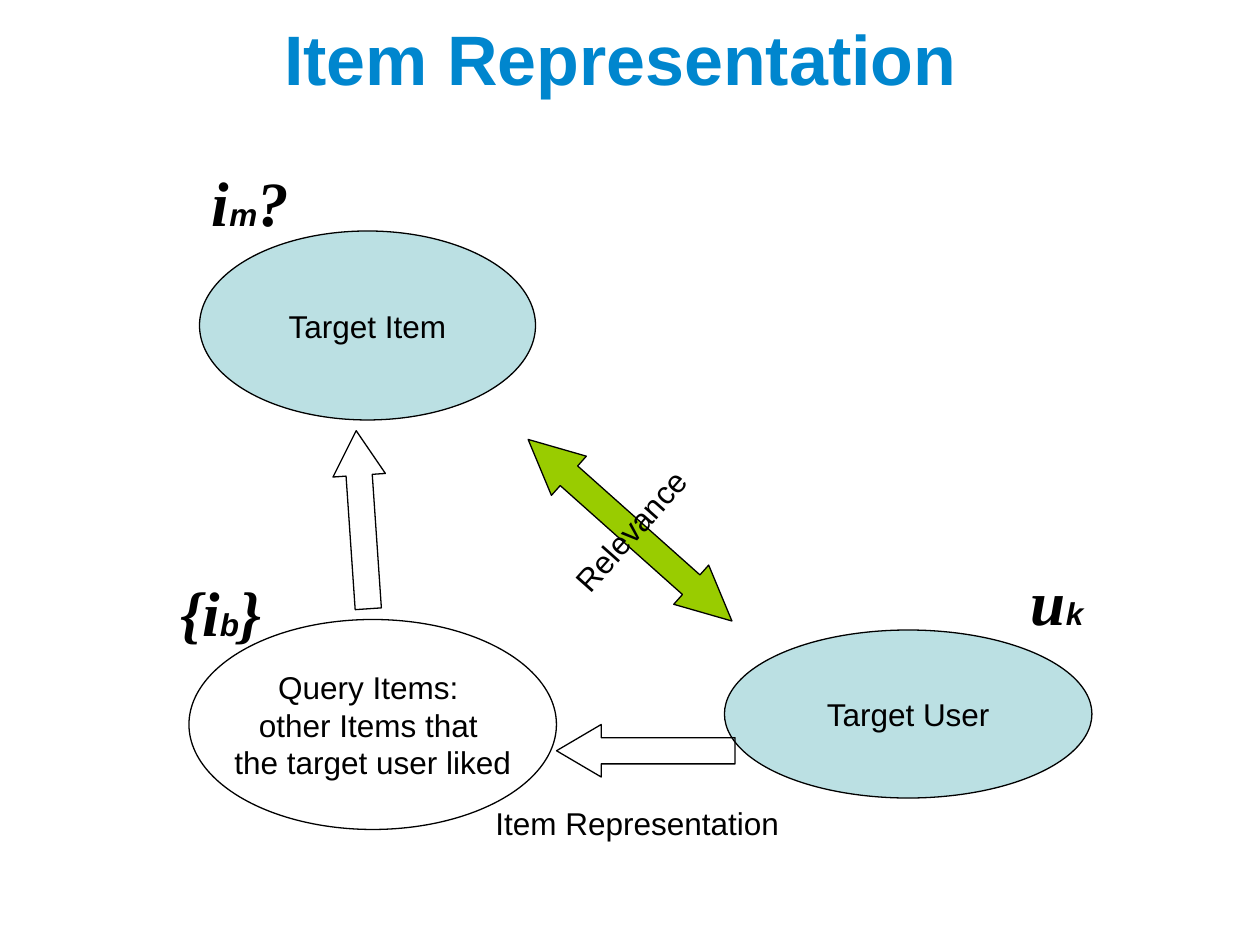
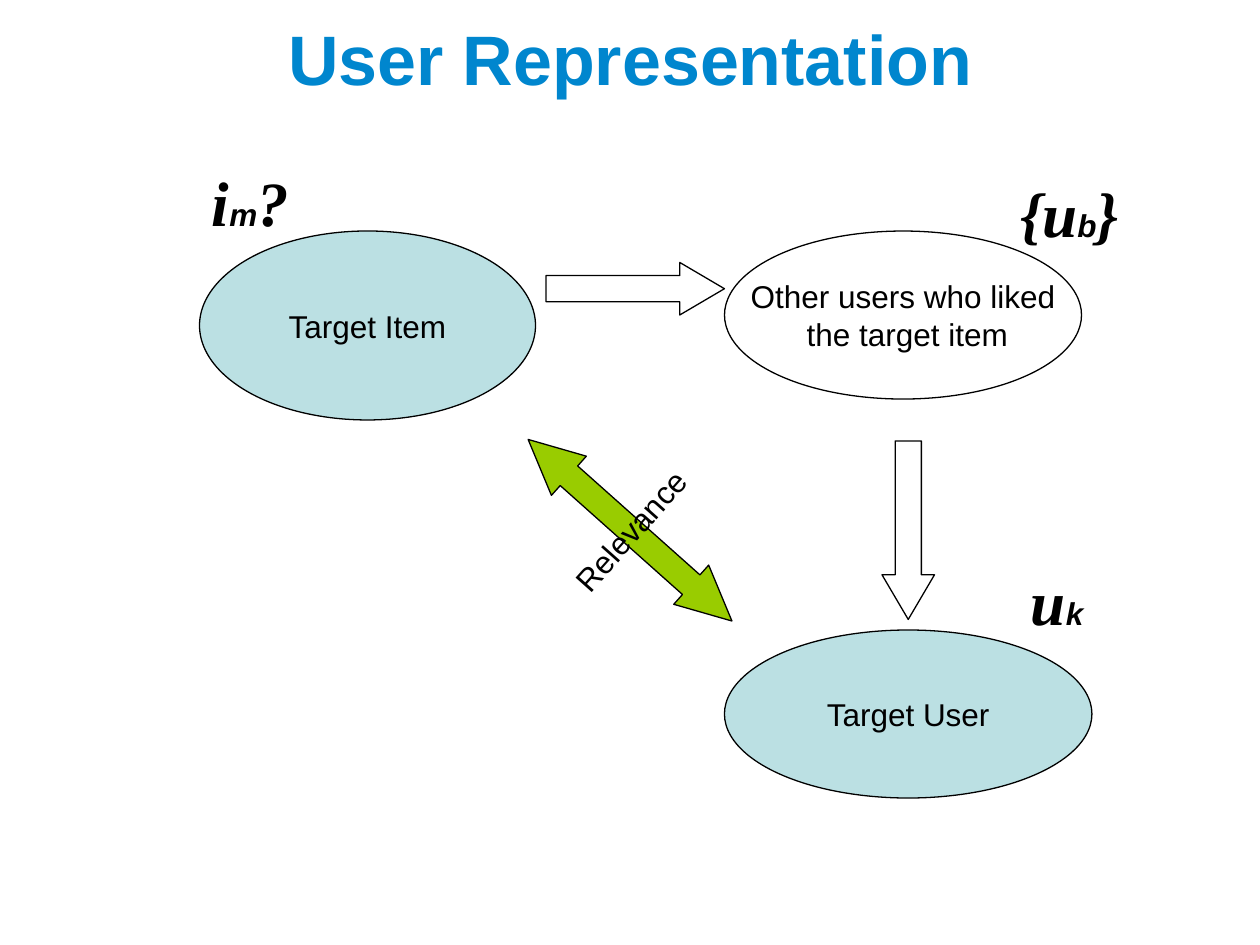
from dataclasses import dataclass

from pptx import Presentation
from pptx.dml.color import RGBColor
from pptx.enum.shapes import MSO_SHAPE
from pptx.enum.text import MSO_ANCHOR, MSO_AUTO_SIZE, PP_ALIGN
from pptx.oxml.ns import qn
from pptx.shapes.autoshape import Shape
from pptx.slide import Slide
from pptx.util import Emu, Pt

EMU_PER_PX = 9525  # 96 px to the inch
TITLE_ONLY_LAYOUT = 5


@dataclass(frozen=True)
class Theme:
    title_color: RGBColor = RGBColor(0x00, 0x86, 0xCE)
    ink: RGBColor = RGBColor(0x00, 0x00, 0x00)
    target_fill: RGBColor = RGBColor(0xBB, 0xE0, 0xE3)
    relevance_fill: RGBColor = RGBColor(0x99, 0xCC, 0x00)
    body_font: str = "Arial"
    symbol_font: str = "Times New Roman"
    title_size: Pt = Pt(40)
    symbol_size: Pt = Pt(36)
    body_size: Pt = Pt(18)
    line_width: Pt = Pt(0.75)


THEME = Theme()


@dataclass(frozen=True)
class Area:
    left: int
    top: int
    width: int
    height: int

    def emu(self) -> tuple[Emu, ...]:
        lengths = (self.left, self.top, self.width, self.height)
        return tuple(Emu(length * EMU_PER_PX) for length in lengths)


@dataclass(frozen=True)
class Node:
    area: Area
    lines: tuple[str, ...]
    fill: RGBColor | None = None


@dataclass(frozen=True)
class BlockArrow:
    left: int
    top: int
    rotation: float = 0


@dataclass(frozen=True)
class Symbol:
    """A letter with a small index and an optional closing mark."""
    area: Area
    letter: str
    index: str
    closing: str = ""


@dataclass(frozen=True)
class Diagram:
    title: str
    neighbours: Node
    arrows: tuple[BlockArrow, ...]
    neighbour_symbol: Symbol
    caption: str = ""


# Parts found on both slides
TITLE_AREA = Area(48, 0, 864, 88)
RELEVANCE_AREA = Area(460, 300, 40, 208)
CAPTION_AREA = Area(368, 608, 360, 38)
TARGETS = (
    Node(Area(152, 176, 256, 144), ("Target Item",), THEME.target_fill),
    Node(Area(552, 480, 280, 128), ("Target User",), THEME.target_fill),
)
TARGET_SYMBOLS = (
    Symbol(Area(152, 120, 78, 67), "i", "m", "?"),
    Symbol(Area(776, 424, 59, 67), "u", "k"),
)

# What differs from slide to slide
DIAGRAMS = (
    Diagram(
        title="Item Representation ",
        neighbours=Node(
            Area(144, 472, 280, 160),
            ("Query Items: \vother Items that ", "the target user liked"),
        ),
        arrows=(BlockArrow(424, 552, 180), BlockArrow(208, 376, 266.1)),
        neighbour_symbol=Symbol(Area(128, 432, 81, 67), "{i", "b", "}"),
        caption="Item Representation",
    ),
    Diagram(
        title="User Representation",
        neighbours=Node(
            Area(552, 176, 272, 128),
            ("Other users who liked", " the target item"),
        ),
        arrows=(BlockArrow(624, 384, 90), BlockArrow(416, 200)),
        neighbour_symbol=Symbol(Area(768, 128, 94, 67), "{u", "b", "}"),
    ),
)


def write_lines(box: Shape, lines: tuple[str, ...], align: PP_ALIGN,
                size: Pt = THEME.body_size, color: RGBColor = THEME.ink,
                bold: bool = False) -> None:
    frame = box.text_frame
    for number, line in enumerate(lines):
        para = frame.add_paragraph() if number else frame.paragraphs[0]
        para.text = line
        para.alignment = align
        para.font.name = THEME.body_font
        para.font.size = size
        para.font.color.rgb = color
        para.font.bold = bold


def add_outlined(page: Slide, preset: MSO_SHAPE, area: Area,
                 fill: RGBColor | None = None) -> Shape:
    shape = page.shapes.add_shape(preset, *area.emu())
    shape.shadow.inherit = False
    if fill is None:
        shape.fill.background()
    else:
        shape.fill.solid()
        shape.fill.fore_color.rgb = fill
    shape.line.color.rgb = THEME.ink
    shape.line.width = THEME.line_width
    shape.text_frame.word_wrap = False
    shape.text_frame.vertical_anchor = MSO_ANCHOR.MIDDLE
    return shape


def shape_arrow(arrow: Shape, shaft: float, head: float) -> None:
    arrow.adjustments[0] = shaft
    arrow.adjustments[1] = head
    # python-pptx names both guides of an up-down arrow "adj1"
    for number, guide in enumerate(arrow._element.iter(qn("a:gd")), start=1):
        guide.set("name", f"adj{number}")


def add_title(page: Slide, text: str) -> None:
    title = page.shapes.title
    title.left, title.top, title.width, title.height = TITLE_AREA.emu()
    title.text_frame.auto_size = MSO_AUTO_SIZE.NONE
    title.text_frame.vertical_anchor = MSO_ANCHOR.MIDDLE
    write_lines(title, (text,), PP_ALIGN.CENTER, THEME.title_size,
                THEME.title_color, bold=True)


def add_node(page: Slide, node: Node) -> None:
    ellipse = add_outlined(page, MSO_SHAPE.OVAL, node.area, node.fill)
    write_lines(ellipse, node.lines, PP_ALIGN.CENTER)


def add_relevance(page: Slide) -> None:
    arrow = add_outlined(page, MSO_SHAPE.UP_DOWN_ARROW, RELEVANCE_AREA,
                         THEME.relevance_fill)
    arrow.rotation = 131.7
    shape_arrow(arrow, shaft=0.5, head=1.04)
    write_lines(arrow, ("Relevance",), PP_ALIGN.CENTER)
    # Turn the label by 180 degrees so that it reads upwards
    arrow.text_frame._txBody.bodyPr.set("rot", str(180 * 60000))


def add_block_arrow(page: Slide, arrow: BlockArrow) -> None:
    area = Area(arrow.left, arrow.top, 136, 40)
    shape = add_outlined(page, MSO_SHAPE.RIGHT_ARROW, area)
    shape.rotation = arrow.rotation
    shape_arrow(shape, shaft=0.5, head=0.85)


def add_caption(page: Slide, text: str) -> None:
    box = page.shapes.add_textbox(*CAPTION_AREA.emu())
    box.text_frame.word_wrap = True
    write_lines(box, (text,), PP_ALIGN.LEFT)


def add_symbol(page: Slide, symbol: Symbol) -> None:
    box = page.shapes.add_textbox(*symbol.area.emu())
    box.text_frame.word_wrap = False
    para = box.text_frame.paragraphs[0]
    para.font.bold = True
    para.font.italic = True
    para.font.color.rgb = THEME.ink
    large = (THEME.symbol_font, THEME.symbol_size)
    small = (THEME.body_font, THEME.body_size)
    parts = ((symbol.letter, large), (symbol.index, small),
             (symbol.closing, large))
    for text, (font_name, size) in parts:
        if text:
            span = para.add_run()
            span.text = text
            span.font.name = font_name
            span.font.size = size


def add_diagram(page: Slide, diagram: Diagram) -> None:
    add_title(page, diagram.title)
    for node in (diagram.neighbours, *TARGETS):
        add_node(page, node)
    add_relevance(page)
    for arrow in diagram.arrows:
        add_block_arrow(page, arrow)
    if diagram.caption:
        add_caption(page, diagram.caption)
    for symbol in (diagram.neighbour_symbol, *TARGET_SYMBOLS):
        add_symbol(page, symbol)


def main() -> None:
    deck = Presentation()
    deck.slide_width = Emu(960 * EMU_PER_PX)
    deck.slide_height = Emu(720 * EMU_PER_PX)
    for diagram in DIAGRAMS:
        page = deck.slides.add_slide(deck.slide_layouts[TITLE_ONLY_LAYOUT])
        add_diagram(page, diagram)
    deck.save("out.pptx")


if __name__ == "__main__":
    main()
